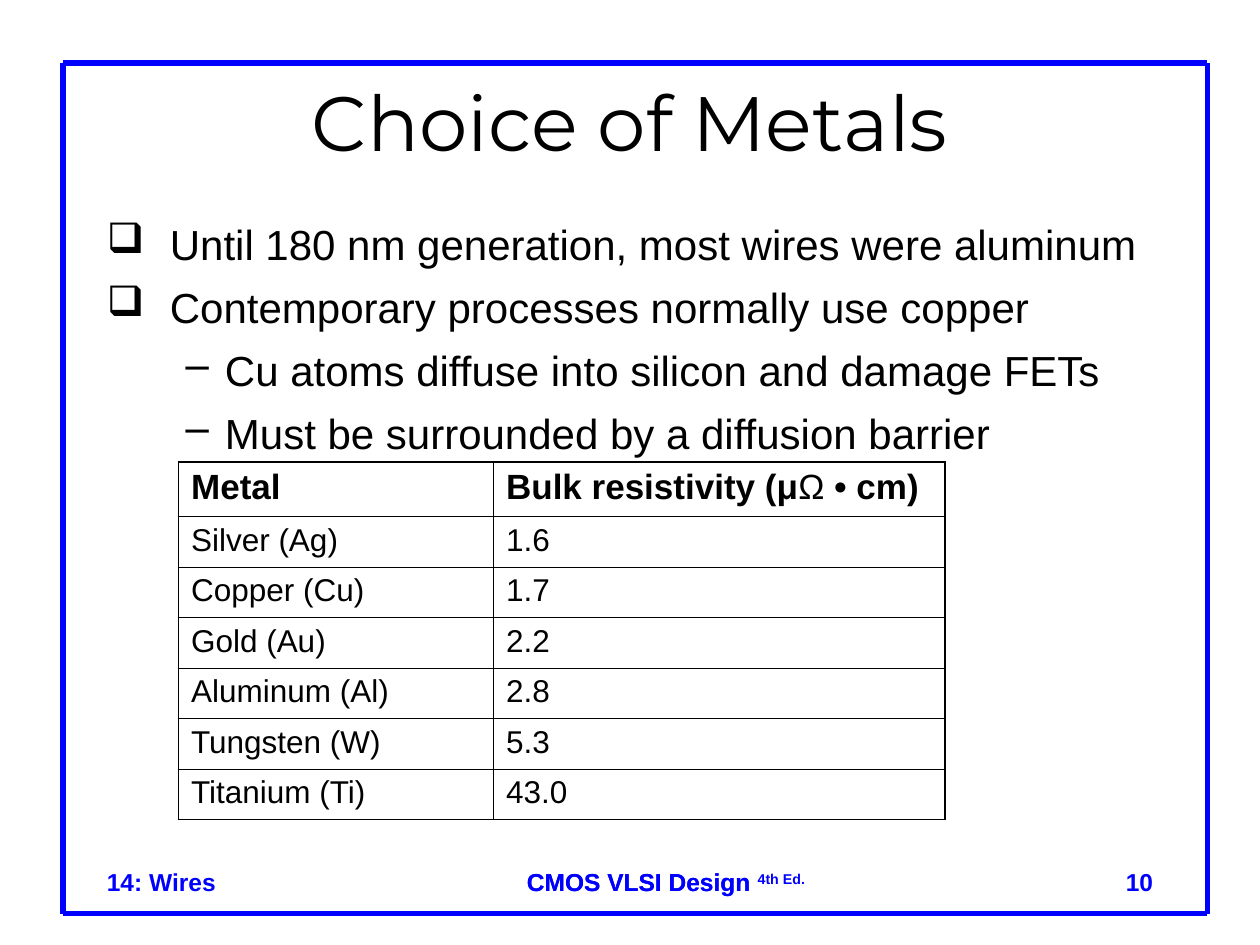
from lxml import etree
from pptx import Presentation
from pptx.dml.color import RGBColor
from pptx.enum.shapes import MSO_CONNECTOR
from pptx.enum.text import MSO_ANCHOR, PP_ALIGN
from pptx.oxml.ns import qn
from pptx.util import Pt

LINE = MSO_CONNECTOR.STRAIGHT
LEFT, MID, RIGHT = PP_ALIGN.LEFT, PP_ALIGN.CENTER, PP_ALIGN.RIGHT
MIDDLE = MSO_ANCHOR.MIDDLE

COLORS = {"ink": "000000", "blue": "0000FF"}
THICK, THIN = 1.08, 0.45

TITLE = {"name": "Montserrat", "size": Pt(44), "bold": False}
BODY = {"name": "Arial", "size": Pt(24), "bold": False}
HEAD = {"name": "Arial", "size": Pt(20), "bold": True}
CELL = {"name": "Arial", "size": Pt(18), "bold": False}
FOOT = {"name": "Arial", "size": Pt(14), "bold": True}

# Bullet sign, left margin and hanging indent of each level
LEVELS = [("❑", 36, -36), ("–", 67.5, -22.5)]
POINTS = [
    (0, "Until 180 nm generation, most wires were aluminum"),
    (0, "Contemporary processes normally use copper"),
    (1, "Cu atoms diffuse into silicon and damage FETs"),
    (1, "Must be surrounded by a diffusion barrier"),
]
METALS = [
    ("Silver (Ag)", "1.6"),
    ("Copper (Cu)", "1.7"),
    ("Gold (Au)", "2.2"),
    ("Aluminum (Al)", "2.8"),
    ("Tungsten (W)", "5.3"),
    ("Titanium (Ti)", "43.0"),
]


def style(font, form, color="ink"):
    for key, value in form.items():
        setattr(font, key, value)
    font.color.rgb = RGBColor.from_string(COLORS[color])


def add_run(para, text, form, color="ink"):
    run = para.add_run()
    run.text = text
    style(run.font, form, color)
    return run


def add_box(slide, box):
    frame = slide.shapes.add_textbox(*map(Pt, box)).text_frame
    frame.word_wrap = True
    return frame


def add_frame(slide, box):
    x, y, w, h = box
    ends = [
        (x, y, x, y + h),
        (x, y, x + w, y),
        (x + w, y, x + w, y + h),
        (x, y + h, x + w, y + h),
    ]
    for end in ends:
        line = slide.shapes.add_connector(LINE, *map(Pt, end))
        line.line.width = Pt(3)
        line.line.color.rgb = RGBColor.from_string(COLORS["blue"])
        etree.SubElement(line._element.spPr, qn("a:effectLst"))


def add_foot(slide, box):
    x, y, w, h = box
    # The book name is laid twice, the second time with its edition
    for text, wide, note in [
        ("CMOS VLSI Design", 174, ""),
        ("CMOS VLSI Design ", 180, "4th Ed."),
    ]:
        para = add_box(slide, (x + 240, y, wide, 24)).paragraphs[0]
        add_run(para, text, FOOT, "blue")
        if note:
            run = add_run(para, note, FOOT, "blue")
            run.font._element.set("baseline", "30000")
    # Chapter and page number
    for text, left, wide, align in [
        ("14: Wires", x, w, LEFT),
        ("10", x + w - 150, 150, RIGHT),
    ]:
        para = add_box(slide, (left, y, wide, h)).paragraphs[0]
        para.alignment = align
        add_run(para, text, FOOT, "blue")


def add_title(slide, box, text):
    title = slide.shapes.title
    title.left, title.top, title.width, title.height = map(Pt, box)
    frame = title.text_frame
    frame.vertical_anchor = MIDDLE
    para = frame.paragraphs[0]
    para.alignment = MID
    add_run(para, text, TITLE)


def add_bullet(para, level):
    sign, margin, indent = LEVELS[level]
    para.level = level
    props = para._p.get_or_add_pPr()
    props.set("marL", str(Pt(margin)))
    props.set("indent", str(Pt(indent)))
    tint = etree.SubElement(props, qn("a:buClr"))
    etree.SubElement(tint, qn("a:srgbClr"), val=COLORS["ink"])
    etree.SubElement(props, qn("a:buChar"), char=sign)


def add_points(slide, box):
    frame = add_box(slide, box)
    frame.margin_top = Pt(5)
    for i, (level, text) in enumerate(POINTS):
        para = frame.add_paragraph() if i else frame.paragraphs[0]
        add_bullet(para, level)
        if i:
            para.space_before = Pt(7.2)
        add_run(para, text, BODY)


def set_edges(cell, widths):
    props = cell._tc.get_or_add_tcPr()
    for i, (side, width) in enumerate(widths.items()):
        edge = etree.Element(qn("a:" + side), w=str(Pt(width)))
        fill = etree.SubElement(edge, qn("a:solidFill"))
        etree.SubElement(fill, qn("a:srgbClr"), val=COLORS["ink"])
        props.insert(i, edge)


def add_metals(slide, box):
    x, y, w, h = box
    count = len(METALS) + 1
    table = slide.shapes.add_table(count, 2, *map(Pt, box)).table
    table.horz_banding = False
    first, top = 180, 31.2
    for col, wide in zip(table.columns, (first, w - first)):
        col.width = Pt(wide)
    for i, row in enumerate(table.rows):
        row.height = Pt((h - top) / (count - 1) if i else top)

    # Header runs carry a bold flag, as the ohm sign is plain
    head = [
        [("Metal", True)],
        [("Bulk resistivity (μ", True), ("Ω ", False), ("• cm)", True)],
    ]
    rows = [head] + [[[(text, False)] for text in pair] for pair in METALS]
    for i, row in enumerate(rows):
        form = CELL if i else HEAD
        for j, runs in enumerate(row):
            cell = table.cell(i, j)
            cell.fill.background()
            for text, bold in runs:
                para = cell.text_frame.paragraphs[0]
                add_run(para, text, {**form, "bold": bold})
            set_edges(cell, {
                "lnL": THICK,
                "lnR": THICK,
                "lnT": THICK if i < 2 else THIN,
                "lnB": THICK if i in (0, count - 1) else THIN,
            })


def main():
    deck = Presentation()
    deck.slide_width, deck.slide_height = Pt(720), Pt(540)
    slide = deck.slides.add_slide(deck.slide_layouts[5])
    add_frame(slide, (36, 36, 654, 486))
    add_foot(slide, (54, 492, 612, 36))
    add_title(slide, (54, 42, 612, 54), "Choice of Metals")
    add_points(slide, (54, 120, 612, 360))
    add_metals(slide, (102, 264, 438, 204))
    deck.save("out.pptx")


if __name__ == "__main__":
    main()
